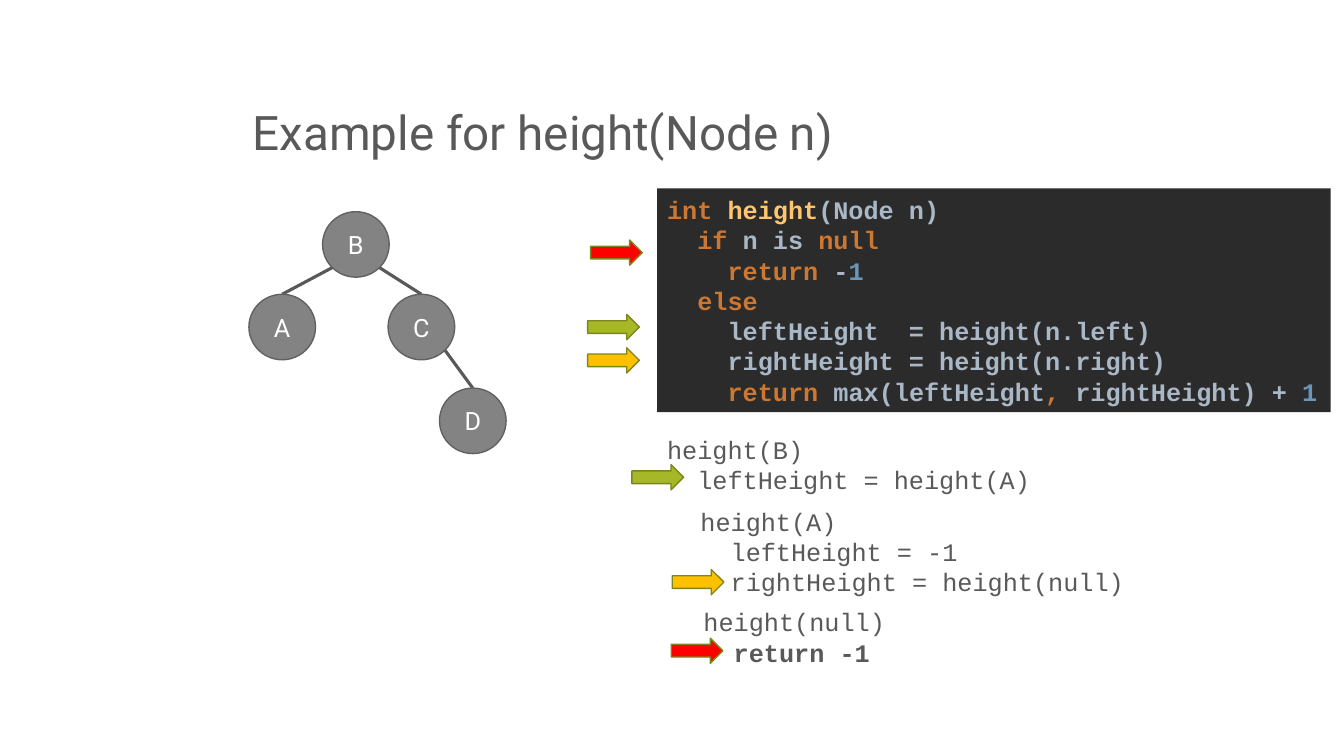
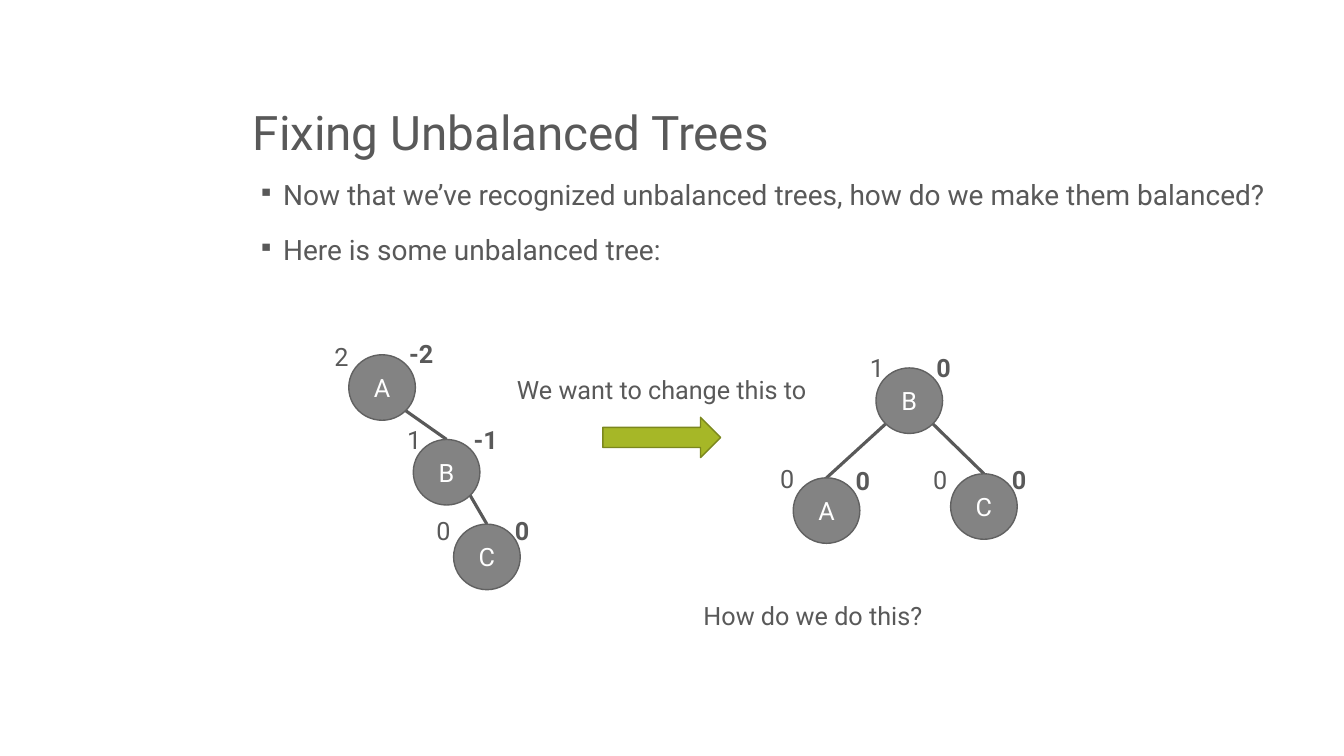
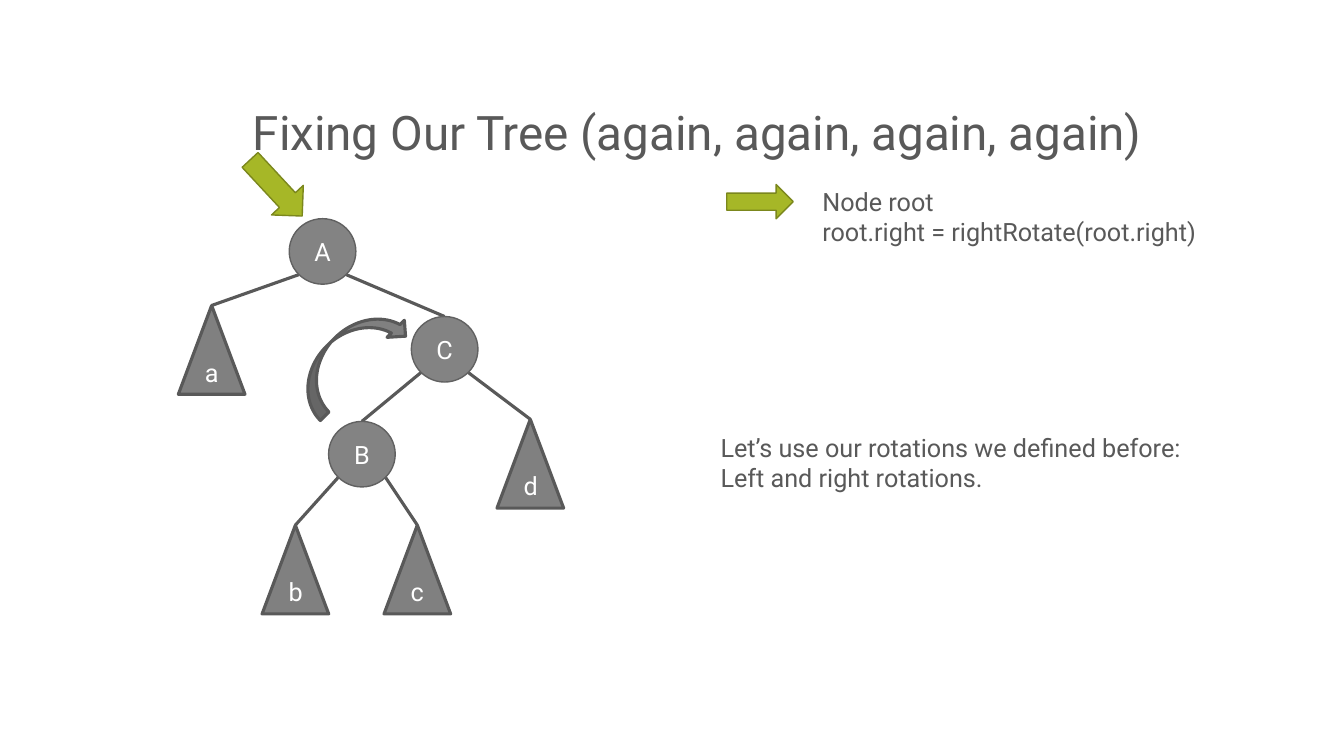
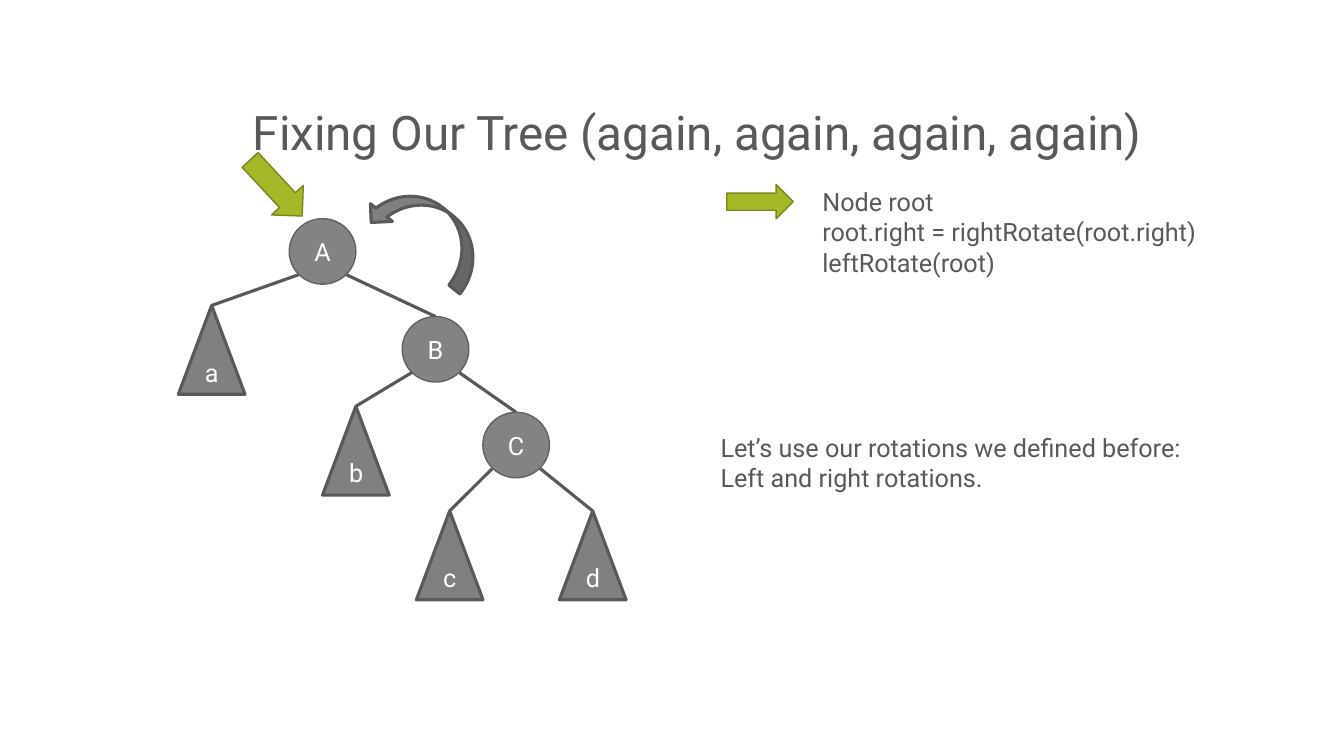
from lxml import etree
from pptx import Presentation
from pptx.dml.color import RGBColor
from pptx.enum.shapes import MSO_CONNECTOR, MSO_SHAPE
from pptx.enum.text import MSO_ANCHOR, MSO_AUTO_SIZE, PP_ALIGN
from pptx.oxml.ns import qn
from pptx.util import Pt

ELLIPSE, TRIANGLE, RECTANGLE = MSO_SHAPE.OVAL, MSO_SHAPE.ISOSCELES_TRIANGLE, MSO_SHAPE.RECTANGLE
BLOCK_ARROW, CURVED_ARROW = MSO_SHAPE.RIGHT_ARROW, MSO_SHAPE.CURVED_DOWN_ARROW
STRAIGHT = MSO_CONNECTOR.STRAIGHT
TOP, MIDDLE, BOTTOM = MSO_ANCHOR.TOP, MSO_ANCHOR.MIDDLE, MSO_ANCHOR.BOTTOM
LEFT, CENTER = PP_ALIGN.LEFT, PP_ALIGN.CENTER
GROW, FIXED = MSO_AUTO_SIZE.SHAPE_TO_FIT_TEXT, MSO_AUTO_SIZE.NONE

WHITE = RGBColor(0xFF, 0xFF, 0xFF)
DARK_GRAY = RGBColor(0x59, 0x59, 0x59)
NODE_FILL = RGBColor(0x83, 0x83, 0x83)
NODE_LINE = RGBColor(0x61, 0x61, 0x61)
SUBTREE_FILL = RGBColor(0x80, 0x80, 0x80)
GREEN = RGBColor(0xA6, 0xB7, 0x27)
YELLOW = RGBColor(0xFF, 0xC0, 0x00)
RED = RGBColor(0xFF, 0x00, 0x00)
ARROW_LINE = RGBColor(0x7B, 0x87, 0x1D)
CODE_FILL = RGBColor(0x2B, 0x2B, 0x2B)
CODE_TEXT = RGBColor(0xA9, 0xB7, 0xC6)
KEYWORD = {"color": RGBColor(0xCC, 0x78, 0x32)}
FUNCTION = {"color": RGBColor(0xFF, 0xC6, 0x6D)}
NUMBER = {"color": RGBColor(0x68, 0x97, 0xBB)}
PLAIN = {}
BOLD = {"bold": True}

BODY_FONT, CODE_FONT = "Roboto", "Courier New"
NODE_WIDTH, NODE_HEIGHT, SUBTREE_HEIGHT = 47.6, 46.8, 63.4
DIAGONAL = 0.5 ** 0.5
THIN, THICK = 1, 2.25


def write(shape, lines, size=18, font=BODY_FONT, color=DARK_GRAY, bold=False, align=LEFT,
          anchor=TOP, wrap=True, resize=FIXED, line_spacing=None, gap=0, bullet=None):
    """Fill a shape with lines; a line is a string or a list of (text, overrides) runs."""
    frame = shape.text_frame
    frame.word_wrap = wrap
    frame.auto_size = resize
    frame.vertical_anchor = anchor
    for index, line in enumerate(lines):
        paragraph = frame.add_paragraph() if index else frame.paragraphs[0]
        paragraph.alignment = align
        if line_spacing:
            paragraph.line_spacing = line_spacing
        if index and gap:
            paragraph.space_before = Pt(gap)
        if bullet:
            properties = paragraph._p.get_or_add_pPr()
            properties.set("marL", str(Pt(21.6)))
            properties.set("indent", str(Pt(-18)))
            etree.SubElement(properties, qn("a:buSzPct"), val="80000")
            etree.SubElement(properties, qn("a:buChar"), char=bullet)
        for text, overrides in [(line, PLAIN)] if isinstance(line, str) else line:
            run = paragraph.add_run()
            run.text = text
            run.font.size = Pt(size)
            run.font.name = font
            run.font.bold = overrides.get("bold", bold)
            run.font.color.rgb = overrides.get("color", color)


def add_figure(slide, kind, box, fill, line=None, line_width=THIN, rotation=0):
    """Add a preset shape without shadow."""
    shape = slide.shapes.add_shape(kind, *map(Pt, box))
    shape.shadow.inherit = False
    shape.fill.solid()
    shape.fill.fore_color.rgb = fill
    if line is None:
        shape.line.fill.background()
    else:
        shape.line.color.rgb = line
        shape.line.width = Pt(line_width)
    shape.rotation = rotation
    return shape


CODE_LINES = [
    [("int ", KEYWORD), ("height", FUNCTION), ("(Node n)", PLAIN)],
    [("  if ", KEYWORD), ("n is ", PLAIN), ("null", KEYWORD)],
    [("    return ", KEYWORD), ("-", PLAIN), ("1", NUMBER)],
    [("  else", KEYWORD)],
    "    leftHeight  = height(n.left)",
    "    rightHeight = height(n.right)",
    [("    return ", KEYWORD), ("max(leftHeight", PLAIN), (", ", KEYWORD),
     ("rightHeight) + ", PLAIN), ("1", NUMBER)],
]

ROOT_ARROWS = [((169.9, 118.8, 54.7, 31), GREEN, 47.1), ((519.1, 131.8, 47.5, 24.5), GREEN, 0)]
ROTATE_LINES = ["Node root", "root.right = rightRotate(root.right)"]
ROTATIONS_NOTE = (["Let’s use our rotations we defined before:", "Left and right rotations."],
                  (507.6, 305.3, 357.1, 51.1), {})
CODE_STYLE = {"font": CODE_FONT}
WRAPPED = {"wrap": True}

# Trees: node positions and parent-child edges; lowercase names are subtrees.
# Arrows: box, fill, rotation. Labels: lines, box, text format.
SLIDES = [
    {
        "title": "Example for height(Node n)",
        "trees": [({"B": (230.4, 151.2), "A": (177.8, 210.2), "C": (277.2, 210.2),
                    "D": (313.9, 277.2)}, ["BA", "BC", "CD"])],
        "code": CODE_LINES,
        "labels": [
            (["height(B)", "  leftHeight = height(A)"], (469.4, 306.7, 275, 51.1), CODE_STYLE),
            (["height(A)", "  leftHeight = -1", "  rightHeight = height(null)"],
             (493.2, 357.8, 318.2, 72.7), CODE_STYLE),
            (["height(null)", [("  ", PLAIN), ("return -1", BOLD)]],
             (495.4, 429.8, 144.7, 51.1), CODE_STYLE),
        ],
        "arrows": [((left, top, 36.9, 18), fill, 0) for left, top, fill in [
            (419.8, 224.6, GREEN), (419.8, 248.4, YELLOW), (451.4, 331.9, GREEN),
            (480.2, 406.8, YELLOW), (421.9, 171.4, RED), (479.5, 455.8, RED)]],
    },
    {
        "title": "Fixing Unbalanced Trees",
        "bullets": ["Now that we’ve recognized unbalanced trees, how do we make them balanced?",
                    "Here is some unbalanced tree:"],
        "trees": [
            ({"A": (249.1, 253.4), "B": (295.2, 313.9), "C": (324, 374.4)}, ["AB", "BC"]),
            ({"A": (566.6, 341.3), "B": (625.7, 262.8), "C": (679, 338.4)}, ["BA", "BC"]),
        ],
        "labels": [
            *[([height], (left, top, 25.2, 28.8), {}) for height, left, top in [
                ("2", 231.8, 240.5), ("1", 283.7, 299.5), ("0", 304.6, 364.3),
                ("0", 550.1, 327.6), ("1", 614.2, 248.4), ("0", 659.5, 328.3)]],
            *[([balance], (left, top, width, 28.8), BOLD) for balance, left, top, width in [
                ("-2", 285.1, 238.3, 31.7), ("-1", 331.2, 299.5, 31.7), ("0", 360.7, 364.3, 25.2),
                ("0", 604.1, 329, 25.2), ("0", 661.7, 248.4, 25.2), ("0", 715.7, 328.3, 25.2)]],
            (["We want to change this to"], (362.2, 264.2, 230.4, 28.8), {}),
            (["How do we do this?"], (495.4, 425.5, 175.7, 28.8), {}),
        ],
        "arrows": [((430.6, 298.1, 84.2, 28.8), GREEN, 0)],
    },
    {
        "title": "Fixing Our Tree (again, again, again, again)",
        "trees": [({"A": (206.6, 156.2), "B": (234.7, 301), "C": (293.8, 226.1),
                    "a": (127.4, 218.2), "b": (187.2, 375.1), "c": (274.3, 375.1),
                    "d": (355, 299.5)}, ["AC", "Aa", "CB", "Cd", "Bb", "Bc"])],
        "labels": [(ROTATE_LINES, (580.3, 129.6, 337, 51.1), WRAPPED), ROTATIONS_NOTE],
        "arrows": ROOT_ARROWS,
        "rotate_arrow": ((203, 237.6, 94.3, 34.6), 315.3, False),
    },
    {
        "title": "Fixing Our Tree (again, again, again, again)",
        "trees": [({"A": (206.6, 156.2), "B": (287.3, 226.1), "C": (344.9, 294.5),
                    "a": (127.4, 218.2), "b": (230.4, 290.2), "c": (297.4, 365),
                    "d": (399.6, 365)}, ["AB", "Aa", "BC", "Bb", "Cc", "Cd"])],
        "labels": [(ROTATE_LINES + ["leftRotate(root)"], (580.3, 129.6, 337, 94.3), WRAPPED),
                   ROTATIONS_NOTE],
        "arrows": ROOT_ARROWS,
        "rotate_arrow": ((259.9, 145.4, 91.4, 40.3), 38.9, True),
    },
]

presentation = Presentation()
presentation.slide_width, presentation.slide_height = Pt(960), Pt(540)
blank_layout = presentation.slide_layouts[6]

for content in SLIDES:
    slide = presentation.slides.add_slide(blank_layout)
    title = slide.shapes.add_textbox(Pt(173.5), Pt(23.8), Pt(738), Pt(94.3))
    write(title, [content["title"]], size=34, anchor=BOTTOM, line_spacing=0.9)

    if "bullets" in content:
        body = slide.shapes.add_textbox(Pt(173.5), Pt(126), Pt(738), Pt(324))
        write(body, content["bullets"], size=20, line_spacing=0.9, gap=18, bullet="▪")

    if "code" in content:
        code_box = add_figure(slide, RECTANGLE, (469.4, 134.6, 481, 159.8), CODE_FILL)
        write(code_box, content["code"], font=CODE_FONT, color=CODE_TEXT, bold=True,
              anchor=MIDDLE, wrap=False, resize=GROW)

    for positions, edges in content["trees"]:
        for parent, child in edges:
            parent_left, parent_top = positions[parent]
            child_left, child_top = positions[child]
            side = 1 if child_left > parent_left else -1
            edge = slide.shapes.add_connector(
                STRAIGHT,
                Pt(parent_left + NODE_WIDTH / 2 * (1 + side * DIAGONAL)),
                Pt(parent_top + NODE_HEIGHT / 2 * (1 + DIAGONAL)),
                Pt(child_left + NODE_WIDTH / 2), Pt(child_top))
            edge.line.color.rgb = DARK_GRAY
            edge.line.width = Pt(THICK)
            etree.SubElement(edge._element.spPr, qn("a:effectLst"))
        for name, (left, top) in positions.items():
            if name.islower():
                node = add_figure(slide, TRIANGLE, (left, top, NODE_WIDTH, SUBTREE_HEIGHT),
                                  SUBTREE_FILL, DARK_GRAY, THICK)
            else:
                node = add_figure(slide, ELLIPSE, (left, top, NODE_WIDTH, NODE_HEIGHT),
                                  NODE_FILL, NODE_LINE)
            write(node, [name], color=WHITE, align=CENTER, anchor=MIDDLE)

    for lines, box, text_format in content["labels"]:
        label = slide.shapes.add_textbox(*map(Pt, box))
        write(label, lines, **{"wrap": False, "resize": GROW, **text_format})

    for box, fill, rotation in content["arrows"]:
        add_figure(slide, BLOCK_ARROW, box, fill, ARROW_LINE, rotation=rotation)

    if "rotate_arrow" in content:
        box, rotation, flipped = content["rotate_arrow"]
        rotate_arrow = add_figure(slide, CURVED_ARROW, box, SUBTREE_FILL, DARK_GRAY, THICK, rotation)
        if flipped:
            rotate_arrow._element.spPr.get_or_add_xfrm().set("flipH", "1")

presentation.save("out.pptx")
